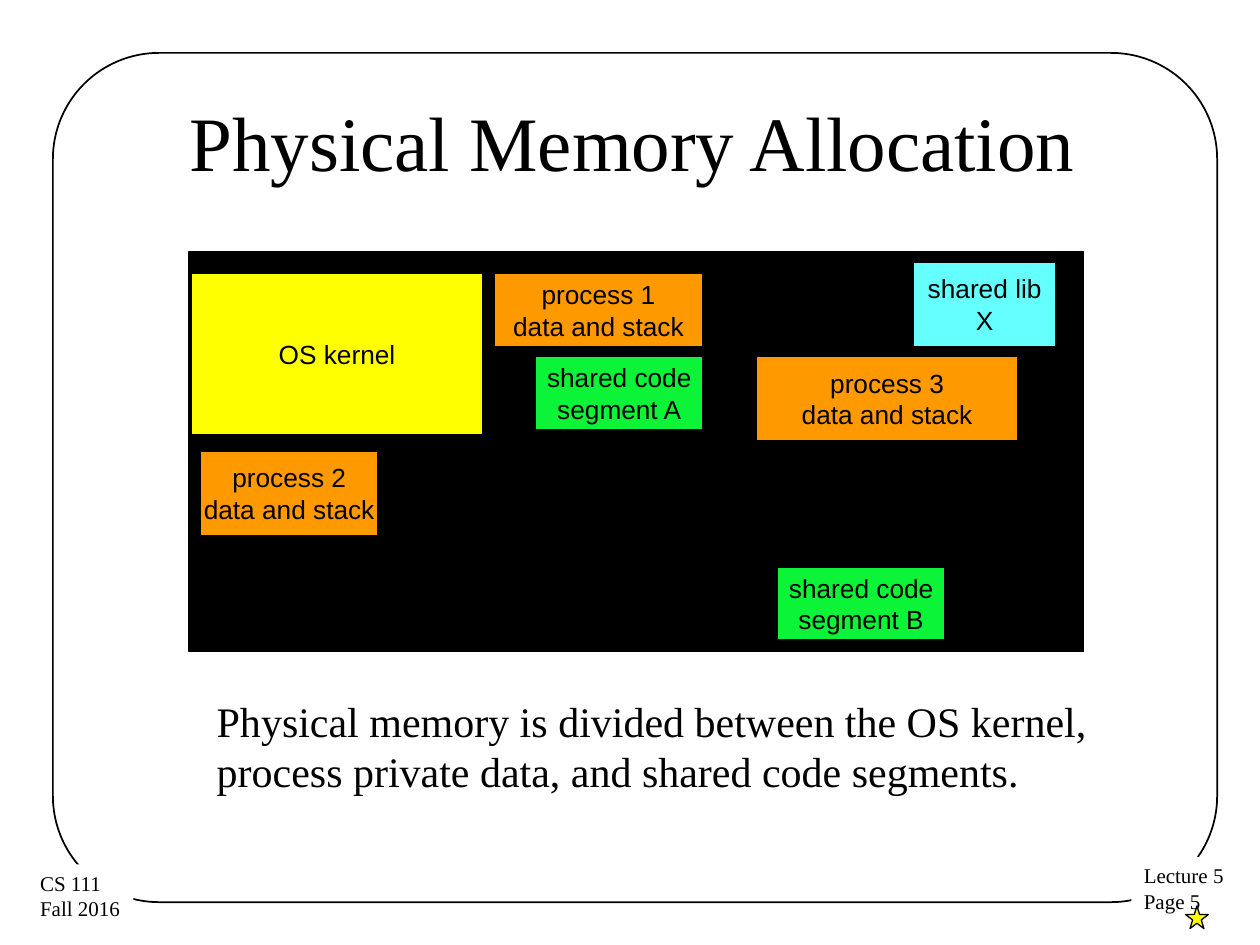
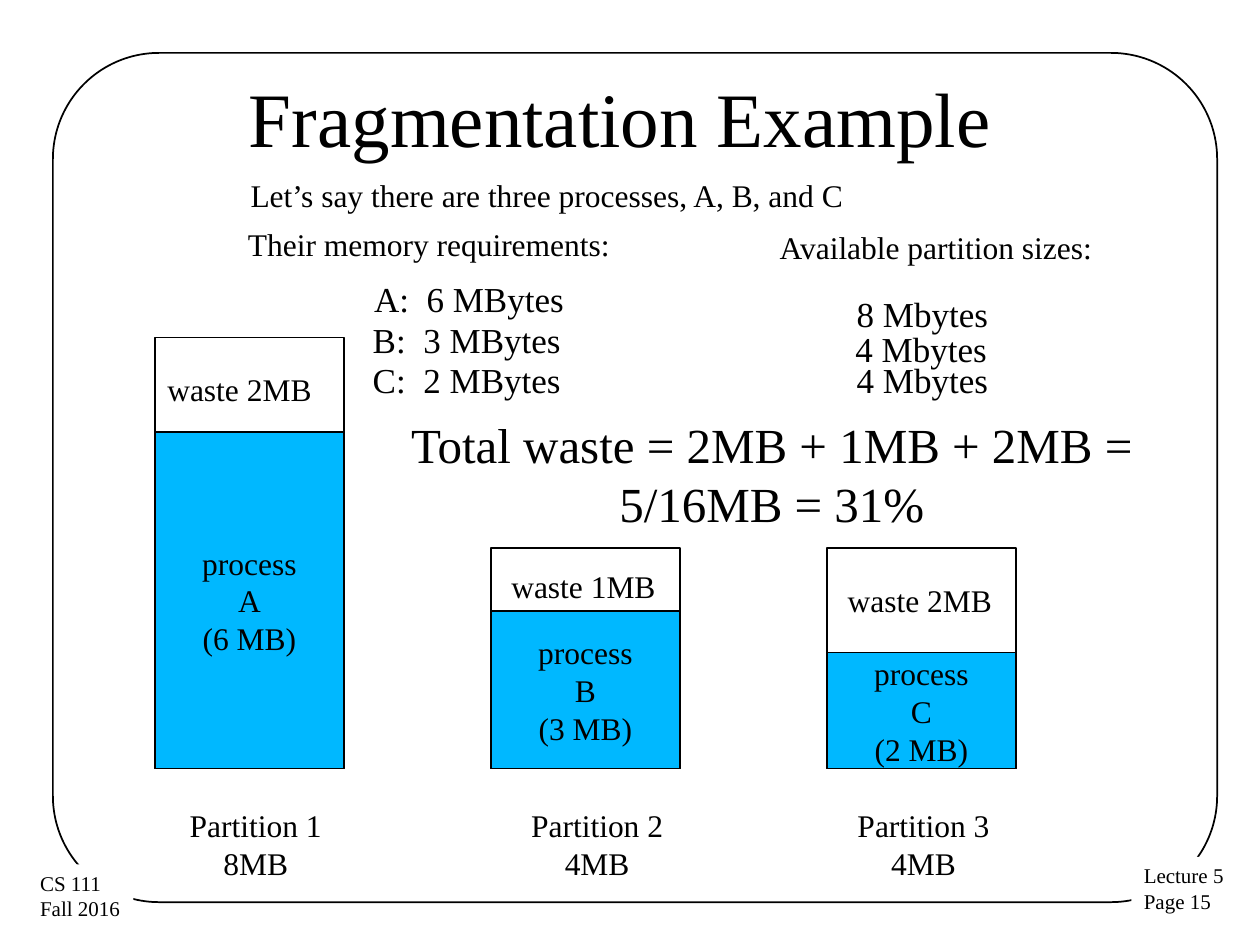
from pptx import Presentation
from pptx.dml.color import RGBColor
from pptx.enum.shapes import MSO_SHAPE
from pptx.enum.text import MSO_ANCHOR, MSO_AUTO_SIZE, PP_ALIGN
from pptx.util import Inches, Pt

COLORS = {
    "ink": "000000",
    "paper": "FFFFFF",
    "kernel": "FFFF00",
    "process": "FF9900",
    "code": "0CF438",
    "library": "66FFFF",
    "used": "00B8FF",
}
SERIF = "Times New Roman"
SANS = "Arial"


def color(name):
    return RGBColor.from_string(COLORS[name])


class SlideBuilder:
    def __init__(self, deck):
        self.deck = deck
        self.page = None

    def start(self, number, title, title_place):
        self.page = self.deck.slides.add_slide(self.deck.slide_layouts[6])
        frame = self.shape((0.42, 0.42, 9.24, 6.74), line=1, kind=MSO_SHAPE.ROUNDED_RECTANGLE)
        frame.adjustments[0] = 0.125
        footers = [
            ((8.98, 6.8, 0.84, 0.51), ["Lecture 5", f"Page {number}"]),
            ((0.22, 6.86, 0.84, 0.51), ["CS 111", "Fall 2016 "]),
        ]
        for place, lines in footers:
            footer = self.shape(place, "paper", line=None)
            self.set_text(footer, lines, 12, auto_size=MSO_AUTO_SIZE.SHAPE_TO_FIT_TEXT)
        self.text(title_place, [title], 44, align=PP_ALIGN.CENTER, word_wrap=True,
                  auto_size=MSO_AUTO_SIZE.NONE, vertical_anchor=MSO_ANCHOR.MIDDLE)

    def shape(self, place, fill=None, line=0.75, kind=MSO_SHAPE.RECTANGLE):
        shape = self.page.shapes.add_shape(kind, *map(Inches, place))
        shape.shadow.inherit = False
        if fill:
            shape.fill.solid()
            shape.fill.fore_color.rgb = color(fill)
        else:
            shape.fill.background()
        if line:
            shape.line.color.rgb = color("ink")
            shape.line.width = Pt(line)
        else:
            shape.line.fill.background()
        return shape

    def set_text(self, box, lines, size, font=SERIF, align=PP_ALIGN.LEFT, **changes):
        formats = {"word_wrap": False, "vertical_anchor": MSO_ANCHOR.TOP, **changes}
        for name, value in formats.items():
            setattr(box.text_frame, name, value)
        letters = {"name": font, "size": Pt(size)}
        for index, line in enumerate(lines):
            para = box.text_frame.add_paragraph() if index else box.text_frame.paragraphs[0]
            para.alignment = align
            span = para.add_run()
            span.text = line
            span.font.color.rgb = color("ink")
            for name, value in letters.items():
                setattr(span.font, name, value)

    def text(self, place, lines, size, **changes):
        box = self.page.shapes.add_textbox(*map(Inches, place))
        formats = {"auto_size": MSO_AUTO_SIZE.SHAPE_TO_FIT_TEXT, **changes}
        self.set_text(box, lines, size, **formats)

    def block(self, place, fill, lines, size, font=SERIF, **changes):
        box = self.shape(place, fill)
        self.set_text(box, lines, size, font, PP_ALIGN.CENTER,
                      vertical_anchor=MSO_ANCHOR.MIDDLE, **changes)


def memory_allocation(builder):
    builder.start(5, "Physical Memory Allocation", (0.13, 0.49, 9.78, 1.25))
    builder.shape((1.5, 2, 7.1, 3.17), "ink")
    segments = [
        ((1.52, 2.17, 2.31, 1.28), "kernel", ["OS kernel"]),
        ((3.92, 2.17, 1.66, 0.58), "process", ["process 1", "data and stack"]),
        ((1.59, 3.58, 1.41, 0.67), "process", ["process 2", "data and stack"]),
        ((6, 2.83, 2.08, 0.67), "process", ["process 3", "data and stack"]),
        ((4.25, 2.83, 1.33, 0.58), "code", ["shared code", "segment A"]),
        ((6.17, 4.5, 1.33, 0.58), "code", ["shared code", "segment B"]),
        ((7.25, 2.08, 1.13, 0.67), "library", ["shared lib", "X"]),
    ]
    for place, fill, lines in segments:
        builder.block(place, fill, lines, 15, SANS,
                      margin_left=Inches(0.09), margin_right=Inches(0.09))
    summary = [
        "Physical memory is divided between the OS kernel, ",
        "process private data, and shared code segments.",
    ]
    builder.text((1.61, 5.47, 7.19, 0.91), summary, 24, margin_left=Inches(0.11))
    builder.shape((9.41, 7.19, 0.18, 0.18), "kernel", kind=MSO_SHAPE.STAR_5_POINT)


def fragmentation(builder):
    builder.start(15, "Fragmentation Example ", (0.5, 0.3, 9, 1.25))
    width, bottom = 1.5, 6.1
    partitions = [
        ("A", 8, 6, 3.42, 2.67, 1.4, (1.23, 2.89)),
        ("B", 4, 3, 1.75, 1.25, 4.11, (3.96, 4.45)),
        ("C", 4, 2, 1.75, 0.92, 6.7, (6.63, 4.56)),
    ]
    for index, partition in enumerate(partitions):
        name, size, used, height, used_height, label_left, waste_corner = partition
        left = 1.23 + index * 8 / 3
        builder.shape((left, bottom - height, width, height))
        builder.block((left, bottom - used_height, width, used_height), "used",
                      ["process", name, f"({used} MB)"], 18)
        builder.text((label_left, 6.35, 1.26, 0.71),
                     [f"Partition {index + 1}", f"{size}MB"], 18, align=PP_ALIGN.CENTER)
        builder.text((*waste_corner, width, 0.4), [f"waste {size - used}MB"], 18, word_wrap=True)

    builder.text((2.75, 3.24, 6.75, 1.04), ["Total waste = 2MB + 1MB + 2MB = 5/16MB = 31%"],
                 28, align=PP_ALIGN.CENTER, word_wrap=True)
    notes = [
        ((1.89, 1.35, 6.54, 0.5), "Let’s say there are three processes, A, B, and C", 18),
        ((1.87, 1.74, 4.07, 0.51), "Their memory requirements:", 18),
        ((2.87, 2.15, 1.72, 0.44), "A:  6 MBytes", 20),
        ((2.86, 2.48, 1.71, 0.44), "B:  3 MBytes", 20),
        ((2.86, 2.8, 1.71, 0.44), "C:  2 MBytes", 20),
        ((6.09, 1.76, 3.56, 0.51), "Available partition sizes:", 18),
        ((6.7, 2.27, 1.25, 0.44), "8 Mbytes", 20),
        ((6.69, 2.55, 1.25, 0.44), "4 Mbytes", 20),
        ((6.7, 2.8, 1.25, 0.44), "4 Mbytes", 20),
    ]
    for place, line, size in notes:
        builder.text(place, [line], size)


deck = Presentation()
deck.slide_width = Inches(10)
deck.slide_height = Inches(7.5)
builder = SlideBuilder(deck)
memory_allocation(builder)
fragmentation(builder)
deck.save("out.pptx")
